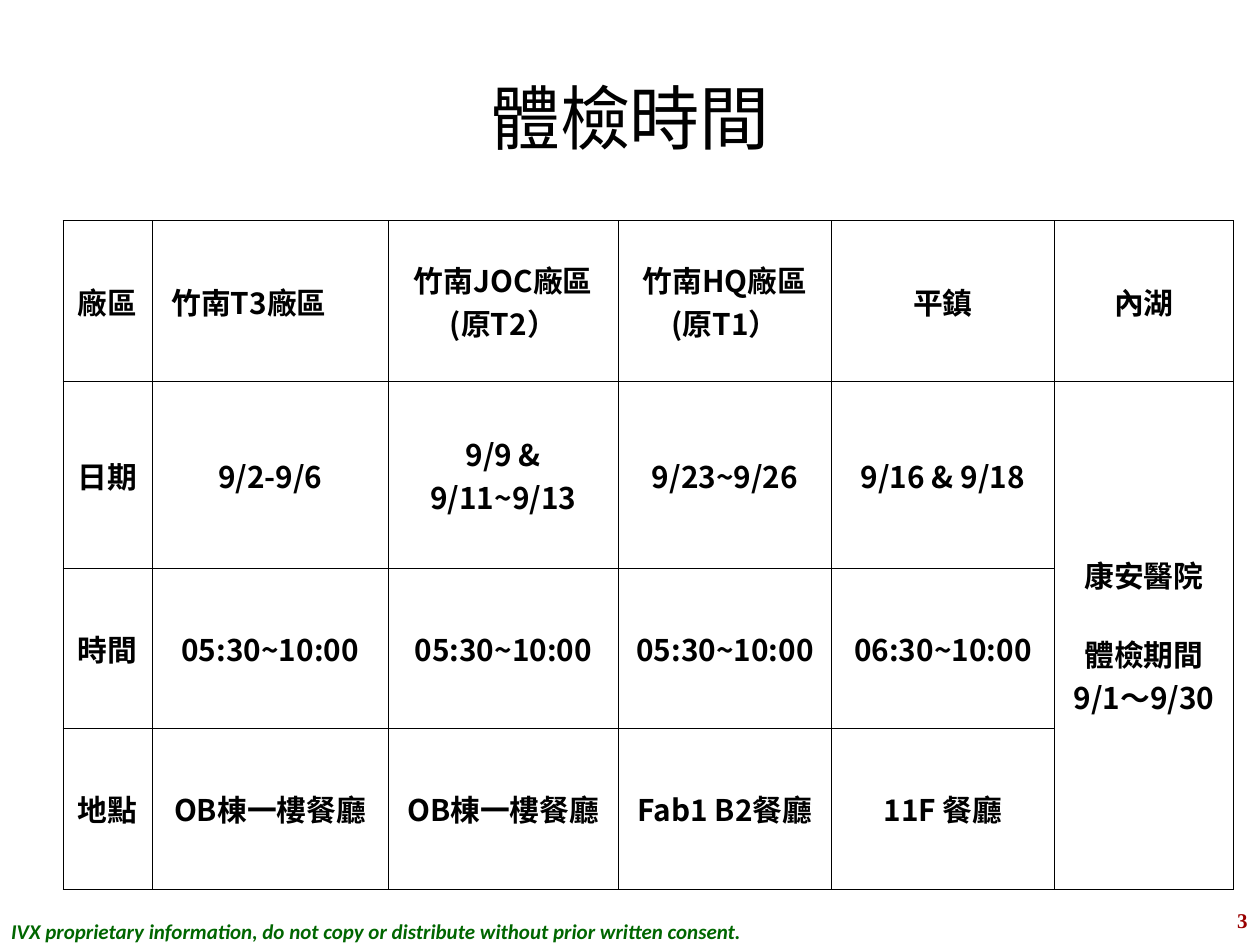
from lxml import etree
from pptx import Presentation
from pptx.dml.color import RGBColor
from pptx.enum.text import MSO_ANCHOR, PP_ALIGN
from pptx.oxml.ns import qn
from pptx.util import Inches, Pt

LEFT, CENTER, RIGHT = PP_ALIGN.LEFT, PP_ALIGN.CENTER, PP_ALIGN.RIGHT
TOP, MIDDLE = MSO_ANCHOR.TOP, MSO_ANCHOR.MIDDLE
COLORS = {"ink": "000000", "paper": "FFFFFF", "notice": "006600", "page": "990000"}
CJK = "Noto Sans CJK SC"

prs = Presentation()
prs.slide_width, prs.slide_height = Inches(10), Inches(7.5)
slide = prs.slides.add_slide(prs.slide_layouts[6])


def write(frame, text, size=17, font=CJK, color="ink", bold=False, italic=False,
          align=CENTER, gaps=None):
    """Fill a text frame, one paragraph a line; gaps maps line number to space before."""
    frame.word_wrap = True
    for number, line in enumerate(text.split("\n")):
        paragraph = frame.paragraphs[0] if number == 0 else frame.add_paragraph()
        paragraph.alignment = align
        if gaps and number in gaps:
            paragraph.space_before = Pt(gaps[number])
        run = paragraph.add_run()
        run.text = line
        run.font.size, run.font.name = Pt(size), font
        run.font.bold, run.font.italic = bold, italic
        run.font.color.rgb = RGBColor.from_string(COLORS[color])
        etree.SubElement(run.font._element, qn("a:ea"), typeface=CJK)


def border(cell):
    """Draw a thin line on all four sides of a cell."""
    properties = cell._tc.get_or_add_tcPr()
    for side in ("lnL", "lnR", "lnT", "lnB"):
        line = etree.SubElement(properties, qn(f"a:{side}"), w=str(Pt(0.45)))
        fill = etree.SubElement(line, qn("a:solidFill"))
        etree.SubElement(fill, qn("a:srgbClr"), val=COLORS["ink"])


# Notice, title and page number
labels = [
    ((-0.01, 7.24, 7.44, 0.3), TOP,
     "IVX proprietary information, do not copy or distribute without prior written consent.",
     dict(size=12, font="Calibri", color="notice", bold=True, italic=True, align=LEFT)),
    ((0.5, 0.3, 9, 1.25), MIDDLE, "體檢時間", dict(size=40, font="Calibri")),
    ((7.67, 7.1, 2.33, 0.4), MIDDLE, "3",
     dict(size=12, font="Times New Roman", color="page", bold=True, align=RIGHT)),
]
for place, anchor, text, style in labels:
    frame = slide.shapes.add_textbox(*map(Inches, place)).text_frame
    frame.vertical_anchor = anchor
    write(frame, text, **style)

# Schedule: one column a site, the last site sharing one cell below its heading
column_widths = [0.71, 1.87, 1.83, 1.69, 1.77, 1.42]
row_heights = [1.28, 1.48, 1.27, 1.28]
schedule = [
    ["廠區", "竹南T3廠區", "竹南JOC廠區\n(原T2）", "竹南HQ廠區\n(原T1）", "平鎮", "內湖"],
    ["日期", "9/2-9/6", "9/9 & 9/11~9/13", "9/23~9/26", "9/16 & 9/18",
     "康安醫院\n體檢期間\n9/1～9/30"],
    ["時間"] + ["05:30~10:00"] * 3 + ["06:30~10:00", None],
    ["地點"] + ["OB棟一樓餐廳"] * 2 + ["Fab1 B2餐廳", "11F 餐廳", None],
]
table = slide.shapes.add_table(
    len(row_heights), len(column_widths), Inches(0.5), Inches(1.75),
    Inches(sum(column_widths)), Inches(sum(row_heights))).table
table.first_row = table.horz_banding = False
for column, width in zip(table.columns, column_widths):
    column.width = Inches(width)
for row, height in zip(table.rows, row_heights):
    row.height = Inches(height)
table.cell(1, 5).merge(table.cell(3, 5))

for r, entries in enumerate(schedule):
    for c, entry in enumerate(entries):
        cell = table.cell(r, c)
        border(cell)
        cell.fill.solid()
        cell.fill.fore_color.rgb = RGBColor.from_string(COLORS["paper"])
        cell.vertical_anchor = MIDDLE
        first_site = (r, c) == (0, 1)
        if first_site:
            cell.margin_left = Inches(0.15)
        if entry:
            write(cell.text_frame, entry, bold=True, align=LEFT if first_site else CENTER,
                  gaps={1: 20} if (r, c) == (1, 5) else None)

prs.save("out.pptx")
